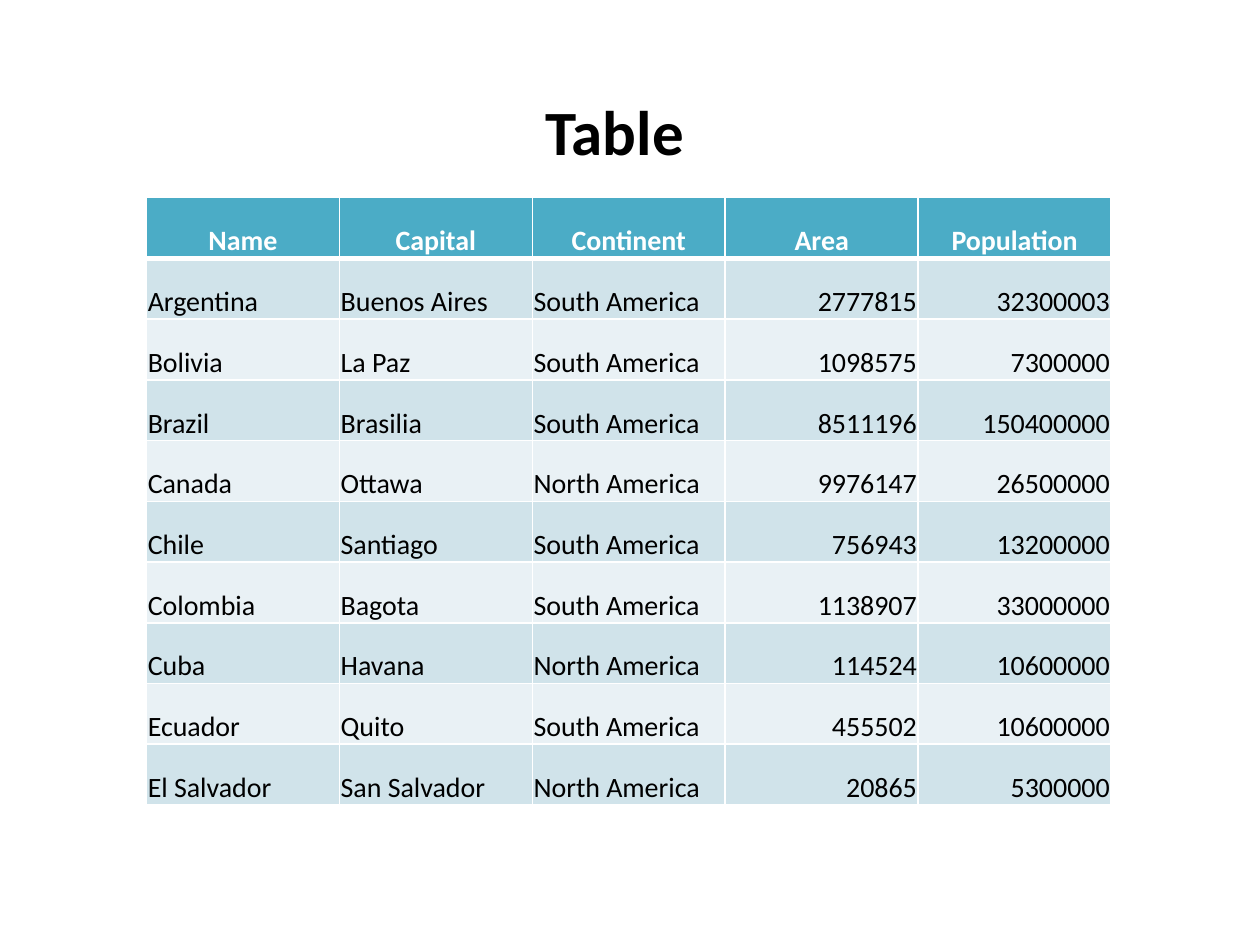
from dataclasses import astuple, dataclass

from lxml import etree
from pptx import Presentation
from pptx.dml.color import RGBColor
from pptx.enum.text import MSO_ANCHOR, MSO_AUTO_SIZE, PP_ALIGN
from pptx.oxml.ns import qn
from pptx.slide import Slide
from pptx.table import _Cell
from pptx.text.text import TextFrame
from pptx.util import Pt

LEFT, CENTER, RIGHT = PP_ALIGN.LEFT, PP_ALIGN.CENTER, PP_ALIGN.RIGHT
TOP, BOTTOM = MSO_ANCHOR.TOP, MSO_ANCHOR.BOTTOM
GROW = MSO_AUTO_SIZE.SHAPE_TO_FIT_TEXT

FONT = "Calibri"
COLORS = {
    "ink": "000000",
    "white": "FFFFFF",
    "head": "4BACC6",
    "dark": "D0E3EA",
    "light": "E9F1F5",
}
COL_WIDTH, ROW_HEIGHT = 110.25, 34.7
THIN, THICK = 1, 3


@dataclass
class Country:
    name: str
    capital: str
    continent: str
    area: int
    population: int


HEADS = ("Name", "Capital", "Continent", "Area", "Population")
ALIGNS = (LEFT, LEFT, LEFT, RIGHT, RIGHT)
COUNTRIES = [
    Country("Argentina", "Buenos Aires", "South America", 2777815, 32300003),
    Country("Bolivia", "La Paz", "South America", 1098575, 7300000),
    Country("Brazil", "Brasilia", "South America", 8511196, 150400000),
    Country("Canada", "Ottawa", "North America", 9976147, 26500000),
    Country("Chile", "Santiago", "South America", 756943, 13200000),
    Country("Colombia", "Bagota", "South America", 1138907, 33000000),
    Country("Cuba", "Havana", "North America", 114524, 10600000),
    Country("Ecuador", "Quito", "South America", 455502, 10600000),
    Country("El Salvador", "San Salvador", "North America", 20865, 5300000),
]


def write(frame: TextFrame, text: str, *, size: float = 16, color: str = "ink",
          bold: bool = False, align: PP_ALIGN = LEFT) -> None:
    frame.text = text
    para = frame.paragraphs[0]
    para.alignment = align
    font = para.runs[0].font
    font.name, font.size, font.bold = FONT, Pt(size), bold
    font.color.rgb = RGBColor.from_string(COLORS[color])


def add_borders(cell: _Cell, top: float, bottom: float) -> None:
    """Draw white lines on all four sides; call before the cell is filled."""
    props = cell._tc.get_or_add_tcPr()
    for side, width in (("L", THIN), ("R", THIN), ("T", top), ("B", bottom)):
        line = etree.SubElement(props, qn(f"a:ln{side}"), w=str(Pt(width)))
        fill = etree.SubElement(line, qn("a:solidFill"))
        etree.SubElement(fill, qn("a:srgbClr"), val=COLORS["white"])


def paint(cell: _Cell, color: str) -> None:
    cell.fill.solid()
    cell.fill.fore_color.rgb = RGBColor.from_string(COLORS[color])


def add_title(slide: Slide, text: str) -> None:
    title = slide.shapes.title
    title.left, title.top = Pt(275), Pt(49)
    title.width, title.height = Pt(152.6), Pt(51)
    frame = title.text_frame
    frame.vertical_anchor = TOP
    frame.auto_size = GROW
    write(frame, text, size=36, bold=True, align=CENTER)


def add_countries(slide: Slide) -> None:
    rows = [HEADS] + [astuple(country) for country in COUNTRIES]
    table = slide.shapes.add_table(
        len(rows), len(HEADS), Pt(83.7), Pt(113),
        Pt(COL_WIDTH * len(HEADS)), Pt(ROW_HEIGHT * len(rows))).table
    for col in table.columns:
        col.width = Pt(COL_WIDTH)
    for r, row in enumerate(rows):
        table.rows[r].height = Pt(ROW_HEIGHT)
        head = r == 0
        band = "head" if head else "dark" if r % 2 else "light"
        for c, value in enumerate(row):
            cell = table.cell(r, c)
            cell.margin_left = cell.margin_right = cell.margin_top = Pt(0.75)
            cell.margin_bottom = Pt(0)
            cell.vertical_anchor = BOTTOM
            add_borders(cell, THICK if r == 1 else THIN, THICK if head else THIN)
            paint(cell, band)
            write(cell.text_frame, str(value), bold=head,
                  color="white" if head else "ink",
                  align=CENTER if head else ALIGNS[c])


def main() -> None:
    deck = Presentation()
    deck.slide_width, deck.slide_height = Pt(720), Pt(540)
    slide = deck.slides.add_slide(deck.slide_layouts[5])
    add_countries(slide)
    add_title(slide, "Table")
    deck.save("out.pptx")


if __name__ == "__main__":
    main()
